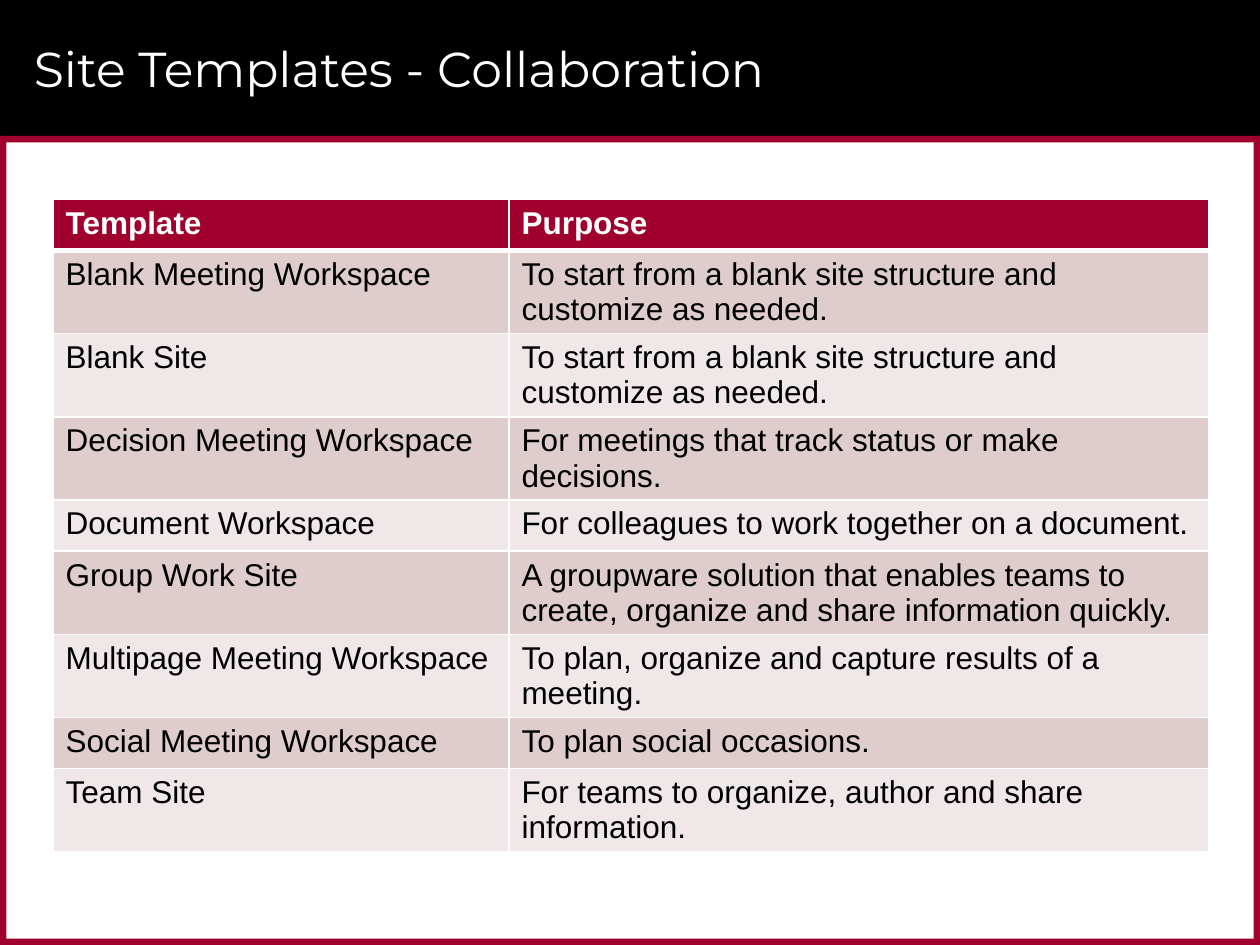
from lxml import etree
from pptx import Presentation
from pptx.dml.color import RGBColor
from pptx.enum.shapes import MSO_SHAPE
from pptx.enum.text import MSO_ANCHOR, MSO_AUTO_SIZE, PP_ALIGN
from pptx.oxml.ns import qn
from pptx.util import Cm, Pt

RECTANGLE = MSO_SHAPE.RECTANGLE
MIDDLE = MSO_ANCHOR.MIDDLE
NO_AUTOFIT = MSO_AUTO_SIZE.NONE
LEFT = PP_ALIGN.LEFT

BLACK = RGBColor(0x00, 0x00, 0x00)
WHITE = RGBColor(0xFF, 0xFF, 0xFF)
CRIMSON = RGBColor(0x9F, 0x00, 0x2D)
ROSE = RGBColor(0xDF, 0xCC, 0xCD)
PALE_ROSE = RGBColor(0xF0, 0xE7, 0xE8)

SLIDE_WIDTH, SLIDE_HEIGHT = Cm(25.4), Cm(19.05)
BANNER_HEIGHT = Cm(2.74)
FRAME_WIDTH = Cm(0.13)
COLUMN_WIDTHS = Cm(9.19), Cm(14.1)
ROW_HEIGHT = Cm(1.03)

TITLE_FORMAT = {"name": "Montserrat", "size": Pt(28), "bold": False}
HEADER_FORMAT = {"name": "Arial", "size": Pt(18), "bold": True}
BODY_FORMAT = {**HEADER_FORMAT, "bold": False}

SITE_TEMPLATES = [
    ("Template", "Purpose"),
    ("Blank Meeting Workspace",
     "To start from a blank site structure and customize as needed."),
    ("Blank Site",
     "To start from a blank site structure and customize as needed."),
    ("Decision Meeting Workspace",
     "For meetings that track status or make decisions."),
    ("Document Workspace", "For colleagues to work together on a document."),
    ("Group Work Site",
     "A groupware solution that enables teams to create, organize and share "
     "information quickly."),
    ("Multipage Meeting Workspace",
     "To plan, organize and capture results of a meeting."),
    ("Social Meeting Workspace", "To plan social occasions."),
    ("Team Site", "For teams to organize, author and share information."),
]


def format_font(font, values, color):
    """Apply the format values and the colour to a font."""
    for attribute, value in values.items():
        setattr(font, attribute, value)
    font.color.rgb = color


def add_band(slide, left, top, width, height, color):
    """Add a plain filled rectangle."""
    band = slide.shapes.add_shape(RECTANGLE, left, top, width, height)
    band.shadow.inherit = False
    band.fill.solid()
    band.fill.fore_color.rgb = color
    band.line.fill.background()


def add_frame(slide):
    """Add the black banner and the crimson frame below it."""
    add_band(slide, 0, 0, SLIDE_WIDTH, BANNER_HEIGHT, BLACK)
    for top in (BANNER_HEIGHT, SLIDE_HEIGHT - FRAME_WIDTH):
        add_band(slide, 0, top, SLIDE_WIDTH, FRAME_WIDTH, CRIMSON)
    for left in (SLIDE_WIDTH - FRAME_WIDTH, 0):
        add_band(slide, left, BANNER_HEIGHT, FRAME_WIDTH,
                 SLIDE_HEIGHT - BANNER_HEIGHT, CRIMSON)


def set_title(slide, wording):
    """Fill the title placeholder and bring it in front of the banner."""
    title = slide.shapes.title
    place = {"left": Cm(0.43), "top": Cm(0.2),
             "width": Cm(23.93), "height": Cm(2.34)}
    for attribute, value in place.items():
        setattr(title, attribute, value)
    frame = title.text_frame
    frame.text = wording
    frame.auto_size = NO_AUTOFIT
    frame.vertical_anchor = MIDDLE
    heading = frame.paragraphs[0]
    heading.alignment = LEFT
    format_font(heading.font, TITLE_FORMAT, WHITE)
    slide.shapes.element.append(title.element)


def set_borders(cell, widths):
    """Draw white cell borders, with widths in points keyed by side."""
    properties = cell._tc.get_or_add_tcPr()
    for position, (side, width) in enumerate(widths.items()):
        border = etree.Element(qn(f"a:ln{side}"), w=str(Pt(width)))
        fill = etree.SubElement(border, qn("a:solidFill"))
        etree.SubElement(fill, qn("a:srgbClr"), val=str(WHITE))
        properties.insert(position, border)


def fill_cell(cell, wording, row):
    """Write one cell in the header style or in its band's style."""
    is_header = row == 0
    cell.text = wording
    cell.fill.solid()
    cell.fill.fore_color.rgb = (
        CRIMSON if is_header else ROSE if row % 2 else PALE_ROSE)
    format_font(cell.text_frame.paragraphs[0].font,
                HEADER_FORMAT if is_header else BODY_FORMAT,
                WHITE if is_header else BLACK)
    set_borders(cell, {"L": 1, "R": 1, "T": 3 if row == 1 else 1,
                       "B": 3 if is_header else 1})


def add_template_table(slide):
    """Add the table of site templates and their purposes."""
    table = slide.shapes.add_table(
        len(SITE_TEMPLATES), len(COLUMN_WIDTHS), Cm(1.07), Cm(4.02),
        sum(COLUMN_WIDTHS), ROW_HEIGHT * len(SITE_TEMPLATES)).table
    for column, width in zip(table.columns, COLUMN_WIDTHS):
        column.width = width
    for row, wordings in enumerate(SITE_TEMPLATES):
        table.rows[row].height = ROW_HEIGHT
        for column, wording in enumerate(wordings):
            fill_cell(table.cell(row, column), wording, row)


def main():
    """Build the slide and save it."""
    presentation = Presentation()
    presentation.slide_width = SLIDE_WIDTH
    presentation.slide_height = SLIDE_HEIGHT
    slide = presentation.slides.add_slide(presentation.slide_layouts[5])
    add_frame(slide)
    set_title(slide, "Site Templates - Collaboration")
    add_template_table(slide)
    presentation.save("out.pptx")


if __name__ == "__main__":
    main()
